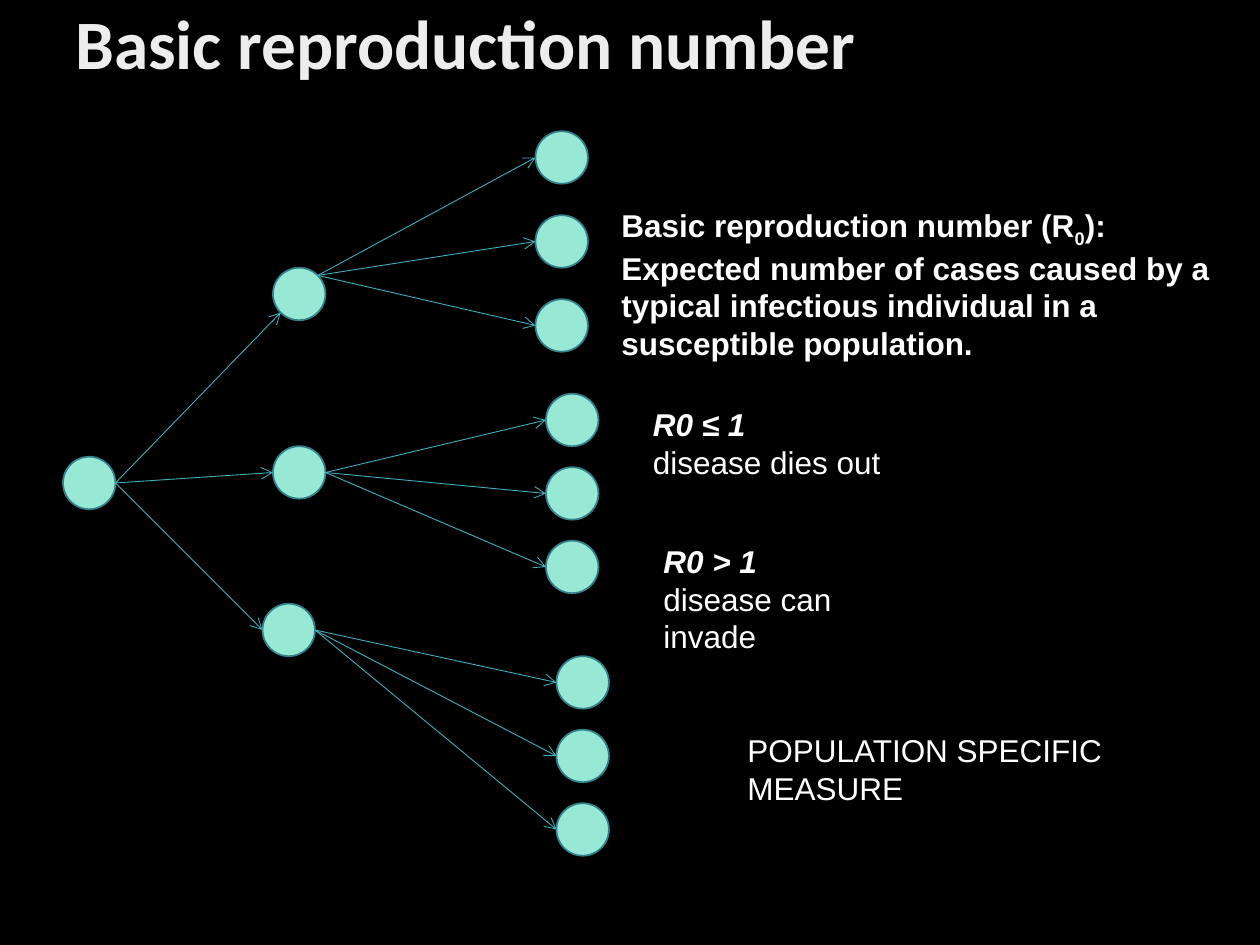
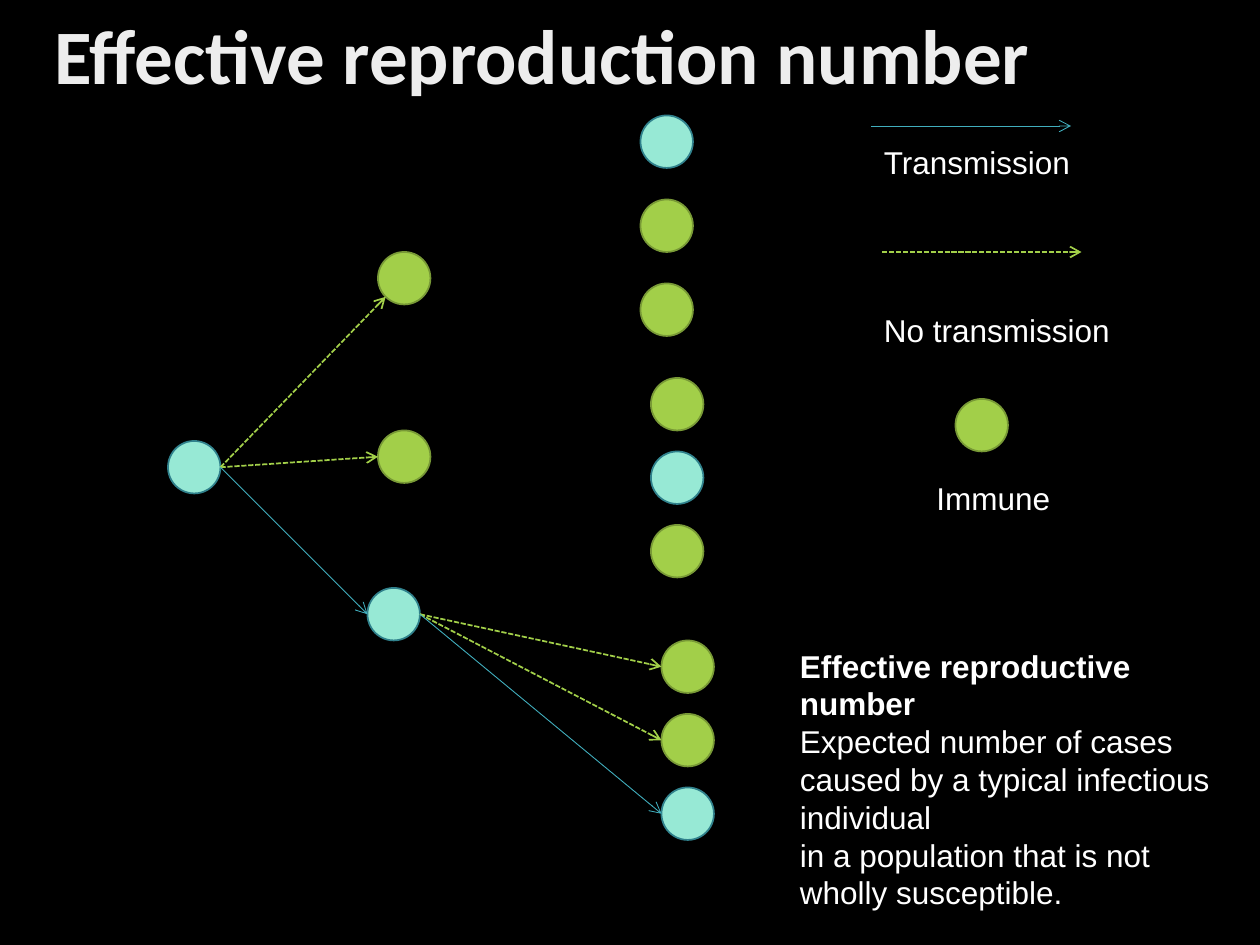
from copy import deepcopy
from math import cos, radians, sin

from lxml.etree import SubElement
from pptx import Presentation
from pptx.dml.color import RGBColor
from pptx.enum.dml import MSO_LINE
from pptx.enum.shapes import MSO_CONNECTOR, MSO_SHAPE
from pptx.enum.text import MSO_ANCHOR, MSO_AUTO_SIZE
from pptx.oxml.ns import qn
from pptx.util import Emu, Pt

EMU_PER_PX = 7620  # 120 px to the inch
DIAMETER = 50

BACKGROUND, TEXT_COLOUR = "000000", "FFFFFF"
TITLE_STOPS = [(0, "BFBFBF"), (0.28, "EDEDED"), (1, "FFFFFF")]
TITLE_ANGLE = 280
TITLE_FONT = {"name": "Calibri", "bold": True}
BODY_FONT = {"name": "Arial", "size": Pt(18)}
BOLD = {"bold": True}
BOLD_ITALIC = {"bold": True, "italic": True}
SUBSCRIPT = {"bold": True, "baseline": "-25000"}

CASE = {"fill": "97E9D5", "outline": "30818C"}
IMMUNE = {"fill": "A2CF49", "outline": "789936"}
TRANSMISSION = {"colour": "41AEBD", "width": 0.5, "dash": None}
NO_TRANSMISSION = {"colour": "A2CF49", "width": 1, "dash": MSO_LINE.SQUARE_DOT}

# Circle corners (left, top) of the infection tree, numbered in reading order
ROOT = (60, 435)
CHILDREN = [(260, 255), (260, 425), (250, 575)]
LEAF_COLUMNS = [(510, 125, 80), (520, 375, 70), (530, 625, 70)]  # left, top, step
LEAVES = [(left, top + row * step)
          for left, top, step in LEAF_COLUMNS for row in range(3)]

# Angles on a circle, clockwise from its right side
RIGHT, LOWER_LEFT, LEFT, UPPER_RIGHT = 0, 135, 180, 315


def px(length):
    return Emu(round(length * EMU_PER_PX))


def rgb(colour):
    return RGBColor.from_string(colour)


def rim(corner, angle):
    """Point on the rim of the circle whose box starts at corner."""
    radius = DIAMETER / 2
    return (corner[0] + radius + radius * cos(radians(angle)),
            corner[1] + radius + radius * sin(radians(angle)))


class Painter:
    def __init__(self):
        self.deck = Presentation()
        self.deck.slide_width, self.deck.slide_height = px(1200), px(900)
        self.page = None

    def new_page(self):
        self.page = self.deck.slides.add_slide(self.deck.slide_layouts[6])
        background = self.page.background.fill
        background.solid()
        background.fore_color.rgb = rgb(BACKGROUND)

    def frame(self, bounds):
        box = self.page.shapes.add_textbox(*map(px, bounds))
        box.text_frame.word_wrap = True
        return box.text_frame

    def span(self, para, words, look):
        span = para.add_run()
        span.text = words
        for name, value in look.items():
            if name == "baseline":
                span._r.get_or_add_rPr().set(name, value)
            else:
                setattr(span.font, name, value)
        return span

    def title(self, words, bounds, size):
        frame = self.frame(bounds)
        frame.vertical_anchor = MSO_ANCHOR.MIDDLE
        para = frame.paragraphs[0]
        para.line_spacing = 0.9
        span = self.span(para, words, {**TITLE_FONT, "size": Pt(size)})
        fill = span.font.fill
        fill.gradient()
        fill.gradient_angle = TITLE_ANGLE
        stops = span._r.find(f".//{qn('a:gsLst')}")
        stops.append(deepcopy(stops[-1]))
        for stop, (position, colour) in zip(fill.gradient_stops, TITLE_STOPS):
            stop.position = position
            stop.color.rgb = rgb(colour)

    def text(self, bounds, *paragraphs):
        """Add a box; each paragraph is a list of (words, look) pairs."""
        frame = self.frame(bounds)
        frame.auto_size = MSO_AUTO_SIZE.SHAPE_TO_FIT_TEXT
        for index, spans in enumerate(paragraphs):
            para = frame.add_paragraph() if index else frame.paragraphs[0]
            for words, look in spans:
                span = self.span(para, words, {**BODY_FONT, **look})
                span.font.color.rgb = rgb(TEXT_COLOUR)

    def person(self, corner, kind):
        circle = self.page.shapes.add_shape(
            MSO_SHAPE.OVAL, *map(px, (*corner, DIAMETER, DIAMETER)))
        circle.shadow.inherit = False
        circle.fill.solid()
        circle.fill.fore_color.rgb = rgb(kind["fill"])
        circle.line.color.rgb = rgb(kind["outline"])
        circle.line.width = Pt(1)

    def arrow(self, start, end, kind):
        arrow = self.page.shapes.add_connector(
            MSO_CONNECTOR.STRAIGHT, *map(px, (*start, *end)))
        arrow.line.color.rgb = rgb(kind["colour"])
        arrow.line.width = Pt(kind["width"])
        if kind["dash"]:
            arrow.line.dash_style = kind["dash"]
        properties = arrow._element.spPr
        SubElement(properties.find(qn("a:ln")), qn("a:tailEnd"), type="arrow")
        SubElement(properties, qn("a:effectLst"))

    def tree(self, shift=(0, 0), immune_children=(), immune_leaves=()):
        """Draw the infection tree; immune children pass nothing on."""
        def move(corner):
            return corner[0] + shift[0], corner[1] + shift[1]

        root = move(ROOT)
        children = [move(corner) for corner in CHILDREN]
        leaves = [move(corner) for corner in LEAVES]
        self.person(root, CASE)
        for corners, immune in ((children, immune_children), (leaves, immune_leaves)):
            for index, corner in enumerate(corners):
                self.person(corner, IMMUNE if index in immune else CASE)

        for index, child in enumerate(children):
            self.arrow(rim(root, RIGHT), rim(child, LEFT if index else LOWER_LEFT),
                       NO_TRANSMISSION if index in immune_children else TRANSMISSION)
        for index, leaf in enumerate(leaves):
            parent = index // 3
            if parent not in immune_children:
                self.arrow(rim(children[parent], RIGHT if parent else UPPER_RIGHT),
                           rim(leaf, LEFT),
                           NO_TRANSMISSION if index in immune_leaves else TRANSMISSION)


def basic_number(painter):
    painter.new_page()
    painter.title("Basic reproduction number", (60, 0, 1080, 90), 39.6)
    painter.tree()
    painter.text(
        (580, 190, 590, 157),
        [("Basic reproduction number (R", BOLD), ("0", SUBSCRIPT), ("):", BOLD)],
        [("Expected number of cases caused by a typical infectious individual "
          "in a susceptible population.", BOLD)])
    painter.text((610, 380, 360, 85),
                 [("R0 ≤ 1", BOLD_ITALIC)], [("disease dies out", {})])
    painter.text((620, 510, 280, 85),
                 [("R0 > 1", BOLD_ITALIC)], [("disease can invade", {})])
    painter.text((700, 690, 460, 85), [("POPULATION SPECIFIC MEASURE", {})])


def effective_number(painter):
    painter.new_page()
    painter.title("Effective reproduction number", (40, 0, 1160, 114), 44)
    painter.tree((100, -15), immune_children=(0, 1),
                 immune_leaves=(1, 2, 3, 5, 6, 7))
    painter.arrow((830, 120), (1020, 120), TRANSMISSION)
    painter.text((830, 130, 230, 50), [("Transmission", {})])
    painter.arrow((840, 240), (1030, 240), NO_TRANSMISSION)
    painter.text((830, 290, 270, 48), [("No transmission", {})])
    painter.person((910, 380), IMMUNE)
    painter.text((880, 450, 150, 50), [("Immune", {})])
    painter.text(
        (750, 610, 420, 230),
        [("Effective reproductive number", BOLD)],
        [("Expected number of cases caused by a typical infectious individual", {})],
        [("in a population that is not wholly susceptible.", {})])


def main():
    painter = Painter()
    basic_number(painter)
    effective_number(painter)
    painter.deck.save("out.pptx")


if __name__ == "__main__":
    main()
